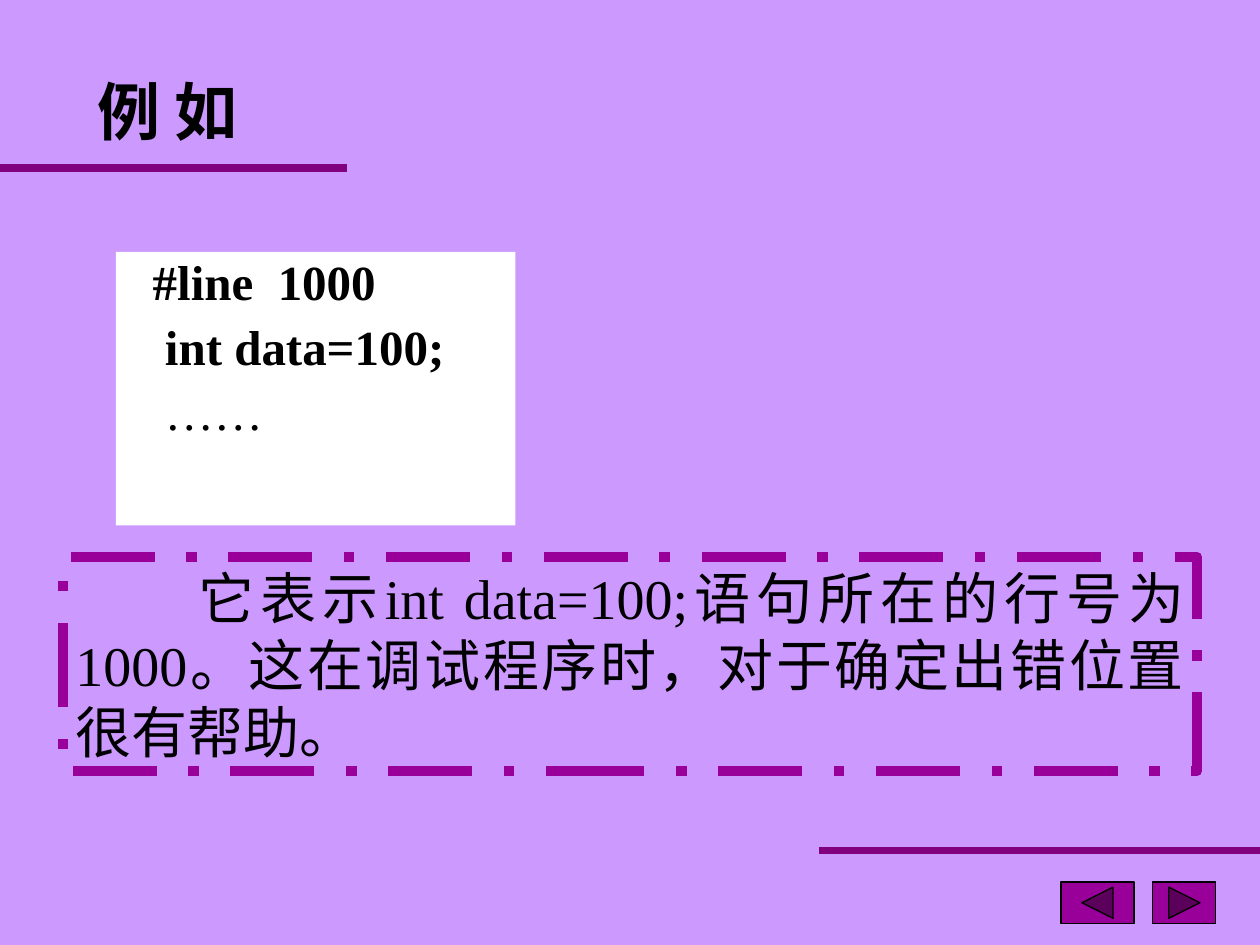
from pptx import Presentation
from pptx.dml.color import RGBColor
from pptx.enum.dml import MSO_LINE
from pptx.enum.shapes import MSO_CONNECTOR, MSO_SHAPE
from pptx.enum.text import MSO_ANCHOR, PP_ALIGN
from pptx.oxml.ns import qn
from pptx.util import Inches, Pt
from lxml import etree

COLORS = {key: RGBColor.from_string(value) for key, value in {
    "background": "CC99FF", "text": "000000", "panel": "FFFFFF",
    "rule": "800080", "accent": "990099"}.items()}
CODE = ["  #line  1000", "   int data=100;", "   ……"]
NOTE = "它表示int data=100;语句所在的行号为1000。这在调试程序时，对于确定出错位置很有帮助。"


def write(p, text, size, align, bold=False):
    p.alignment = align
    r = p.add_run()
    r.text = text
    for name, value in {"name": "Times New Roman", "size": Pt(size), "bold": bold}.items():
        setattr(r.font, name, value)
    r.font.color.rgb = COLORS["text"]


def add_box(shape, left, top, width, height):
    """Add a shadowless shape with top-anchored, wrapping text."""
    sp = s.shapes.add_shape(shape, *map(Inches, (left, top, width, height)))
    sp.shadow.inherit = False
    sp.text_frame.word_wrap = True
    sp.text_frame.vertical_anchor = MSO_ANCHOR.TOP
    return sp


prs = Presentation()
prs.slide_width, prs.slide_height = Inches(10), Inches(7.5)
s = prs.slides.add_slide(prs.slide_layouts[5])
s.background.fill.solid()
s.background.fill.fore_color.rgb = COLORS["background"]

# Title
title = s.shapes.title
for name, value in {"left": 0.67, "top": 0.5, "width": 1.75, "height": 0.75}.items():
    setattr(title, name, Inches(value))
title.text_frame.vertical_anchor = MSO_ANCHOR.MIDDLE
write(title.text_frame.paragraphs[0], "例 如", 36, PP_ALIGN.LEFT, bold=True)

# Code panel
panel = add_box(MSO_SHAPE.RECTANGLE, 0.92, 2, 3.17, 2.17)
panel.fill.solid()
panel.fill.fore_color.rgb = COLORS["panel"]
panel.line.fill.background()
tf = panel.text_frame
for i, line in enumerate(CODE):
    p = tf.add_paragraph() if i else tf.paragraphs[0]
    pPr = p._p.get_or_add_pPr()
    pPr.set("marL", str(Inches(0.38)))
    pPr.set("indent", str(Inches(-0.38)))
    p.line_spacing = 0.9
    if i:
        p.space_before = Pt(7)
    write(p, line, 28, PP_ALIGN.JUSTIFY, bold=line != CODE[-1])

# Rules under the title and above the buttons
for x1, x2, y in [(0, 2.75, 1.33), (6.5, 10, 6.75)]:
    rule = s.shapes.add_connector(MSO_CONNECTOR.STRAIGHT, *map(Inches, (x1, y, x2, y)))
    rule.line.color.rgb = COLORS["rule"]
    rule.line.width = Pt(4.5)
    etree.SubElement(rule._element.spPr, qn("a:effectLst"))

# Navigation buttons
for shape, left, width in [(MSO_SHAPE.ACTION_BUTTON_FORWARD_OR_NEXT, 9.15, 0.5),
                           (MSO_SHAPE.ACTION_BUTTON_BACK_OR_PREVIOUS, 8.42, 0.58)]:
    button = add_box(shape, left, 7, width, 0.33)
    button.fill.solid()
    button.fill.fore_color.rgb = COLORS["accent"]
    button.line.color.rgb = COLORS["text"]
    button.line.width = Pt(0.75)

# Explanation in a dashed frame
frame = add_box(MSO_SHAPE.RECTANGLE, 0.5, 4.42, 9, 1.7)
frame.fill.background()
frame.line.color.rgb = COLORS["accent"]
frame.line.width = Pt(6)
frame.line.dash_style = MSO_LINE.LONG_DASH_DOT
p = frame.text_frame.paragraphs[0]
p._p.get_or_add_pPr().set("indent", str(Inches(0.98)))
write(p, NOTE, 32, PP_ALIGN.JUSTIFY)

prs.save("out.pptx")
